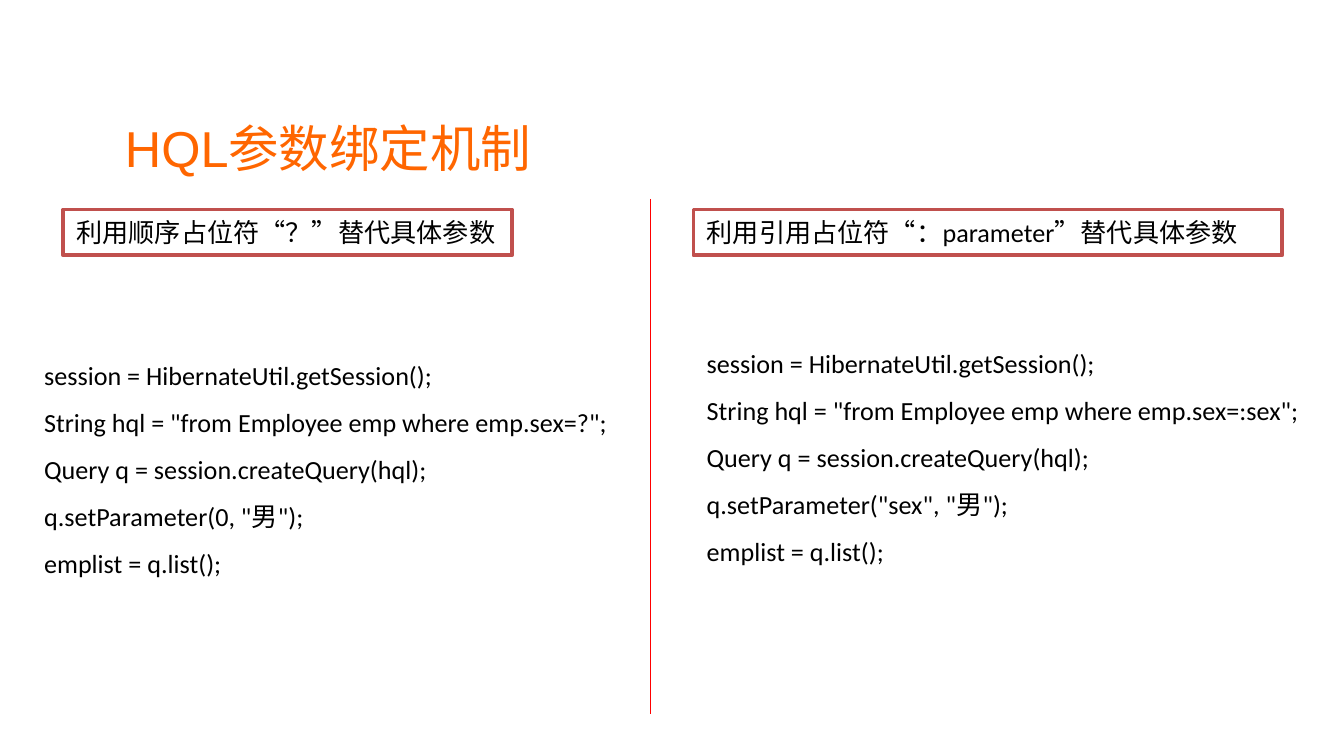
import pptx
import pptx.dml.color
import pptx.enum.shapes
import pptx.enum.text
import pptx.util
from lxml import etree
from pptx.util import Inches

ORANGE = pptx.dml.color.RGBColor(0xFF, 0x66, 0x00)
BRICK = pptx.dml.color.RGBColor(0xC0, 0x50, 0x4D)
RED = pptx.dml.color.RGBColor(0xFF, 0x00, 0x00)
BLACK = pptx.dml.color.RGBColor(0x00, 0x00, 0x00)
WHITE = pptx.dml.color.RGBColor(0xFF, 0xFF, 0xFF)

TITLE_FONT = {"name": "Arial", "size": pptx.util.Pt(27), "bold": False}
BODY_FONT = {"name": "Calibri", "size": pptx.util.Pt(14)}
TITLE_FRAME = {
    "margin_left": Inches(0.07), "margin_right": Inches(0.07),
    "margin_top": Inches(0.04), "margin_bottom": Inches(0.04),
    "vertical_anchor": pptx.enum.text.MSO_ANCHOR.MIDDLE,
    "auto_size": pptx.enum.text.MSO_AUTO_SIZE.NONE,
}
GROWING_FRAME = {"auto_size": pptx.enum.text.MSO_AUTO_SIZE.SHAPE_TO_FIT_TEXT}

SLIDE_WIDTH = 10
SLIDE_HEIGHT = SLIDE_WIDTH * 9 / 16
HEADING_HEIGHT = 0.34
CODE_HEIGHT = 1.87


def set_attributes(target, values):
    for name, value in values.items():
        setattr(target, name, value)


def write_lines(text_frame, lines, font, color, line_spacing=None):
    text_frame.text = "\n".join(lines)
    for paragraph in text_frame.paragraphs:
        paragraph.alignment = pptx.enum.text.PP_ALIGN.LEFT
        paragraph.line_spacing = line_spacing
        for run in paragraph.runs:
            set_attributes(run.font, font)
            run.font.color.rgb = color


def place_title(slide, box, text):
    title = slide.shapes.title
    title.left, title.top, title.width, title.height = map(Inches, box)
    set_attributes(title.text_frame, TITLE_FRAME)
    write_lines(title.text_frame, [text], TITLE_FONT, ORANGE)


def add_heading(slide, box, text, wrap):
    shape = slide.shapes.add_shape(
        pptx.enum.shapes.MSO_SHAPE.RECTANGLE, *map(Inches, box))
    shape.shadow.inherit = False
    shape.fill.solid()
    shape.fill.fore_color.rgb = WHITE
    shape.line.color.rgb = BRICK
    shape.line.width = pptx.util.Pt(2)
    set_attributes(shape.text_frame, {**GROWING_FRAME, "word_wrap": wrap})
    write_lines(shape.text_frame, [text], BODY_FONT, BLACK)


def add_code(slide, box, lines):
    text_box = slide.shapes.add_textbox(*map(Inches, box))
    set_attributes(text_box.text_frame, {**GROWING_FRAME, "word_wrap": True})
    write_lines(text_box.text_frame, lines, BODY_FONT, BLACK, 1.5)


def add_example(slide, box, heading, code):
    """Place a boxed heading and its code; offsets are relative to the box."""
    left, top, width = box
    add_heading(
        slide,
        (left + heading["offset"], top, heading["width"], HEADING_HEIGHT),
        heading["text"], heading["wrap"])
    add_code(slide, (left, top + code["offset"], width, CODE_HEIGHT),
             code["lines"])


def add_divider(slide, left, top, height):
    divider = slide.shapes.add_connector(
        pptx.enum.shapes.MSO_CONNECTOR.STRAIGHT,
        Inches(left), Inches(top), Inches(left), Inches(top + height))
    divider.line.color.rgb = RED
    divider.line.width = pptx.util.Pt(1)
    etree.SubElement(divider._element.spPr, pptx.oxml.ns.qn("a:effectLst"))


def query_code(condition, parameter):
    return [
        "session = HibernateUtil.getSession();",
        f'String hql = "from Employee emp where emp.sex={condition}";',
        "Query q = session.createQuery(hql);",
        f'q.setParameter({parameter}, "男");',
        "emplist = q.list();",
    ]


def main():
    presentation = pptx.Presentation()
    presentation.slide_width = Inches(SLIDE_WIDTH)
    presentation.slide_height = Inches(SLIDE_HEIGHT)
    slide = presentation.slides.add_slide(presentation.slide_layouts[5])

    place_title(slide, (0.86, 0.71, 7.89, 0.77), "HQL参数绑定机制")
    add_example(
        slide, (0.23, 1.56, 4.53),
        {"text": "利用顺序占位符“？”替代具体参数",
         "offset": 0.24, "width": 3.34, "wrap": False},
        {"offset": 0.95, "lines": query_code("?", "0")})
    add_example(
        slide, (5.16, 1.56, 4.77),
        {"text": "利用引用占位符“：parameter”替代具体参数",
         "offset": 0, "width": 4.38, "wrap": True},
        {"offset": 0.86, "lines": query_code(":sex", '"sex"')})
    add_divider(slide, 4.84, 1.48, 3.83)

    presentation.save("out.pptx")


if __name__ == "__main__":
    main()
